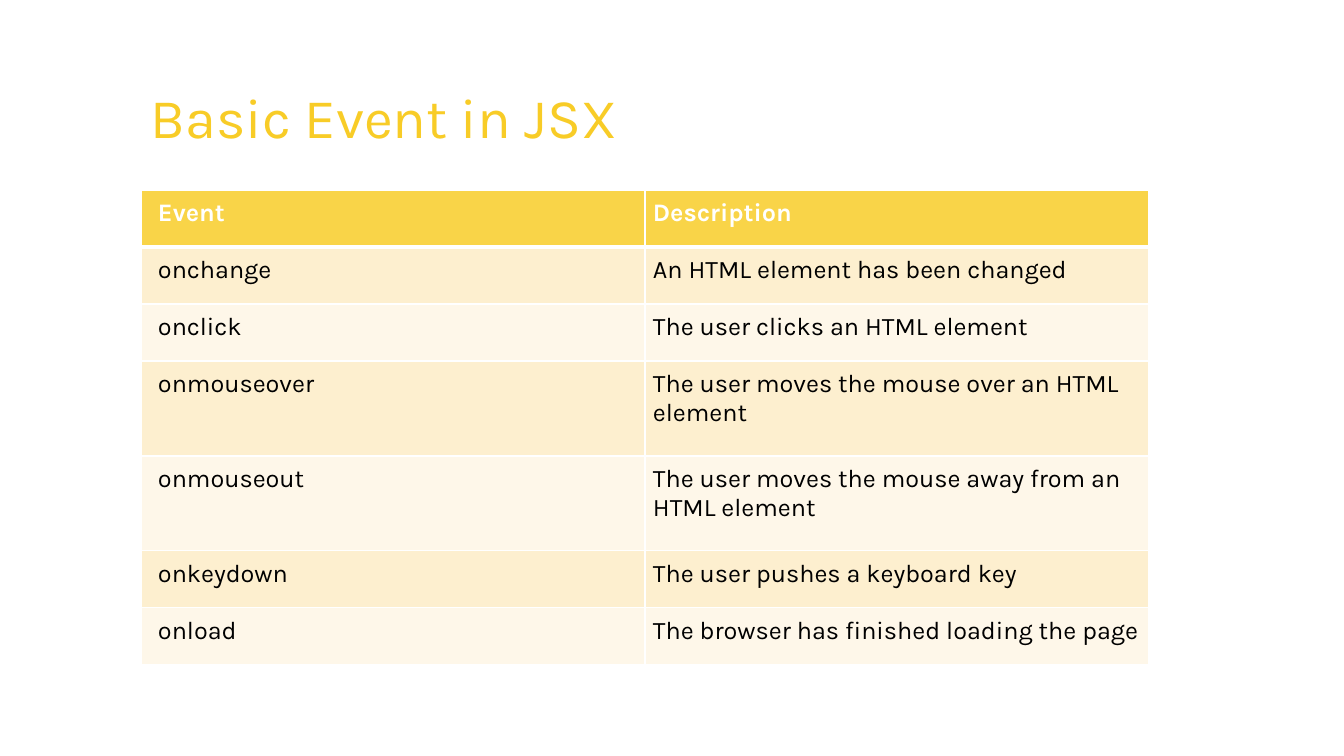
from pptx import Presentation
from pptx.dml.color import RGBColor as RGB
from pptx.oxml import parse_xml as to_xml
from pptx.oxml.ns import nsdecls
from pptx.util import Pt

SCALE = 9071  # EMU in one px
COLORS = {
    "title": "F8CC27",
    "head": "F9D448",
    "odd": "FDEFCF",
    "even": "FEF7E9",
    "white": "FFFFFF",
    "black": "000000",
}
EVENTS = [
    ("Event", "Description"),
    ("onchange", "An HTML element has been changed"),
    ("onclick", "The user clicks an HTML element"),
    ("onmouseover", "The user moves the mouse over an HTML element"),
    ("onmouseout", "The user moves the mouse away from an HTML element"),
    ("onkeydown", "The user pushes a keyboard key"),
    ("onload", "The browser has finished loading the page"),
]
LOW, HIGH = 57, 95
HEIGHTS = [LOW, LOW, LOW, HIGH, HIGH, LOW, LOW]


def px(count):
    return count * SCALE


def write(frame, text, size=18, color="black", bold=False):
    frame.word_wrap = True
    run = frame.paragraphs[0].add_run()
    run.text = text
    font = run.font
    font.name = "Karla"
    font.size = Pt(size)
    font.bold = bold
    font.color.rgb = RGB.from_string(COLORS[color])


class Deck:
    """Holds the style and the current slide."""

    def __init__(self, width, height):
        self.show = Presentation()
        self.show.slide_width = px(width)
        self.show.slide_height = px(height)
        self.slide = self.show.slides.add_slide(self.show.slide_layouts[6])

    def text(self, left, top, width, height, text, **style):
        box = self.slide.shapes.add_textbox(
            px(left), px(top), px(width), px(height))
        write(box.text_frame, text, **style)

    def edge(self, cell, side, points):
        """Draws one white border; call it before the cell is filled."""
        cell._tc.get_or_add_tcPr().append(to_xml(
            f'<a:ln{side} {nsdecls("a")} w="{int(Pt(points))}"><a:solidFill>'
            f'<a:srgbClr val="{COLORS["white"]}"/></a:solidFill></a:ln{side}>'))

    def cell(self, cell, text, row, col):
        head = row == 0
        cell.margin_left = px(17 if col == 0 else 8)
        cell.margin_right = cell.margin_top = cell.margin_bottom = px(8)
        write(cell.text_frame, text, bold=head,
              color="white" if head else "black")
        for side in "LRTB":
            thick = (row, side) in [(0, "B"), (1, "T")]
            self.edge(cell, side, 3 if thick else 1)
        cell.fill.solid()
        tone = "head" if head else "odd" if row % 2 else "even"
        cell.fill.fore_color.rgb = RGB.from_string(COLORS[tone])

    def table(self, left, top, width, rows, heights):
        count = len(rows[0])
        table = self.slide.shapes.add_table(
            len(rows), count, px(left), px(top), px(width),
            px(sum(heights))).table
        for col in table.columns:
            col.width = px(width // count)
        for i, (texts, height) in enumerate(zip(rows, heights)):
            table.rows[i].height = px(height)
            for j, text in enumerate(texts):
                self.cell(table.cell(i, j), text, i, j)


def main():
    deck = Deck(1344, 756)
    deck.table(141, 190, 1008, EVENTS, HEIGHTS)
    deck.text(141, 78, 954, 78, "Basic Event in JSX", size=40, color="title")
    deck.show.save("out.pptx")


if __name__ == "__main__":
    main()
